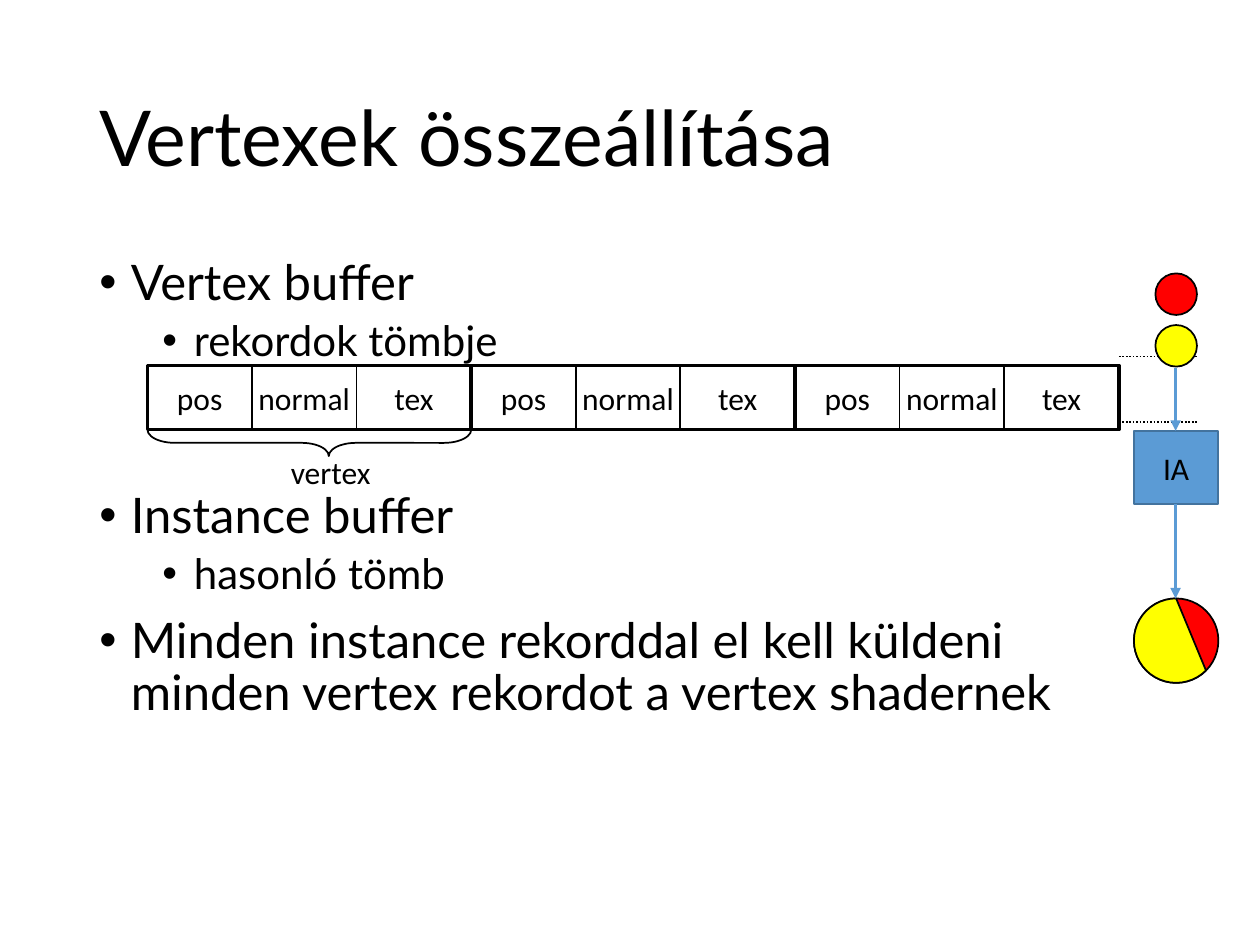
from lxml import etree
from pptx import Presentation
from pptx.dml.color import RGBColor
from pptx.enum import dml, shapes, text
from pptx.oxml.ns import qn
from pptx.util import Inches, Pt

BLACK = RGBColor(0x00, 0x00, 0x00)
RED = RGBColor(0xFF, 0x00, 0x00)
YELLOW = RGBColor(0xFF, 0xFF, 0x00)
BLUE = RGBColor(0x5B, 0x9B, 0xD5)
DARK_BLUE = RGBColor(0x43, 0x73, 0x9E)
SHAPE = shapes.MSO_SHAPE

prs = Presentation()
prs.slide_width, prs.slide_height = Inches(10), Inches(7.5)
s = prs.slides.add_slide(prs.slide_layouts[6])


def add_shape(kind, x, y, w, h, fill=None, line=BLACK, width=1, label=None):
    sp = s.shapes.add_shape(kind, Inches(x), Inches(y), Inches(w), Inches(h))
    sp.shadow.inherit = False
    if fill is None:
        sp.fill.background()
    else:
        sp.fill.solid()
        sp.fill.fore_color.rgb = fill
    sp.line.color.rgb = line
    sp.line.width = Pt(width)
    if label:
        tf = sp.text_frame
        tf.text = label
        tf.word_wrap = False
        tf.vertical_anchor = text.MSO_ANCHOR.MIDDLE
        p = tf.paragraphs[0]
        p.alignment = text.PP_ALIGN.CENTER
        f = p.runs[0].font
        f.name, f.size, f.color.rgb = "Calibri", Pt(18), BLACK
    return sp


def add_line(x1, y1, x2, y2, color, width):
    cn = s.shapes.add_connector(shapes.MSO_CONNECTOR.STRAIGHT,
                                Inches(x1), Inches(y1), Inches(x2), Inches(y2))
    cn.line.color.rgb = color
    cn.line.width = Pt(width)
    etree.SubElement(cn._element.spPr, qn("a:effectLst"))
    return cn


# Title
tf = s.shapes.add_textbox(Inches(0.69), Inches(0.4), Inches(8.62), Inches(1.45)).text_frame
tf.word_wrap = True
tf.vertical_anchor = text.MSO_ANCHOR.MIDDLE
tf.text = "Vertexek összeállítása"
p = tf.paragraphs[0]
p.line_spacing = 0.9
f = p.runs[0].font
f.name, f.size, f.color.rgb = "Lato", Pt(44), BLACK

# Bullets: text, level, space before (the large one leaves room for the buffer)
bullets = [
    ("Vertex buffer", 0, 10),
    ("rekordok tömbje", 1, 5),
    ("Instance buffer", 0, 72),
    ("hasonló tömb", 1, 5),
    ("Minden instance rekorddal el kell küldeni minden vertex rekordot a vertex shadernek", 0, 10),
]
tf = s.shapes.add_textbox(Inches(0.69), Inches(2), Inches(8.62), Inches(5.43)).text_frame
tf.word_wrap = True
for i, (line, level, before) in enumerate(bullets):
    p = tf.add_paragraph() if i else tf.paragraphs[0]
    p.text = line
    p.level = level
    p.line_spacing = 0.9
    p.space_before = Pt(before)
    f = p.runs[0].font
    f.name, f.size, f.color.rgb = "Lato", Pt(24 if level else 28), BLACK
    pPr = p._p.get_or_add_pPr()
    pPr.set("marL", str(Inches(0.25 + 0.5 * level)))
    pPr.set("indent", str(Inches(-0.25)))
    etree.SubElement(pPr, qn("a:buFont"), typeface="Arial")
    etree.SubElement(pPr, qn("a:buChar"), char="•")

# Dotted guides beside the buffer
for y in (3.35, 2.83):
    cn = add_line(8.88, y, 9.51, y, BLACK, 1)
    cn.line.dash_style = dml.MSO_LINE.ROUND_DOT

# Vertex buffer: three records of three fields
left, top, height, record = 1.17, 2.9, 0.51, 2.57
fields = [("pos", 0.83), ("normal", 0.83), ("tex", 0.91)]
for i in range(3):
    x = left + i * record
    add_shape(SHAPE.RECTANGLE, x, top, record, height, width=2)
    for name, w in fields:
        add_shape(SHAPE.RECTANGLE, x, top, w, height, label=name)
        x += w

# Brace under the first record, with its label
sp = add_shape(SHAPE.RIGHT_BRACE, 2.35, 2.23, 0.21, record)
sp.rotation = 90
sp.adjustments[0], sp.adjustments[1] = 1.03, 0.44
tf = s.shapes.add_textbox(Inches(2.21), Inches(3.55), Inches(0.88), Inches(0.4)).text_frame
tf.word_wrap = False
tf.text = "vertex"
f = tf.paragraphs[0].runs[0].font
f.name, f.size, f.color.rgb = "Calibri", Pt(18), BLACK

# Input assembler column
add_shape(SHAPE.RECTANGLE, 9, 3.42, 0.67, 0.58, BLUE, DARK_BLUE, label="IA")
add_shape(SHAPE.OVAL, 9, 4.75, 0.67, 0.67, RED)
add_shape(SHAPE.CHORD, 9, 4.75, 0.67, 0.67, YELLOW)
add_shape(SHAPE.OVAL, 9.17, 2.17, 0.33, 0.33, RED)
add_shape(SHAPE.OVAL, 9.17, 2.58, 0.33, 0.33, YELLOW)
for y1, y2 in ((2.92, 3.42), (4, 4.75)):
    cn = add_line(9.33, y1, 9.33, y2, BLUE, 2)
    etree.SubElement(cn.line._get_or_add_ln(), qn("a:tailEnd"), type="triangle")

prs.save("out.pptx")
